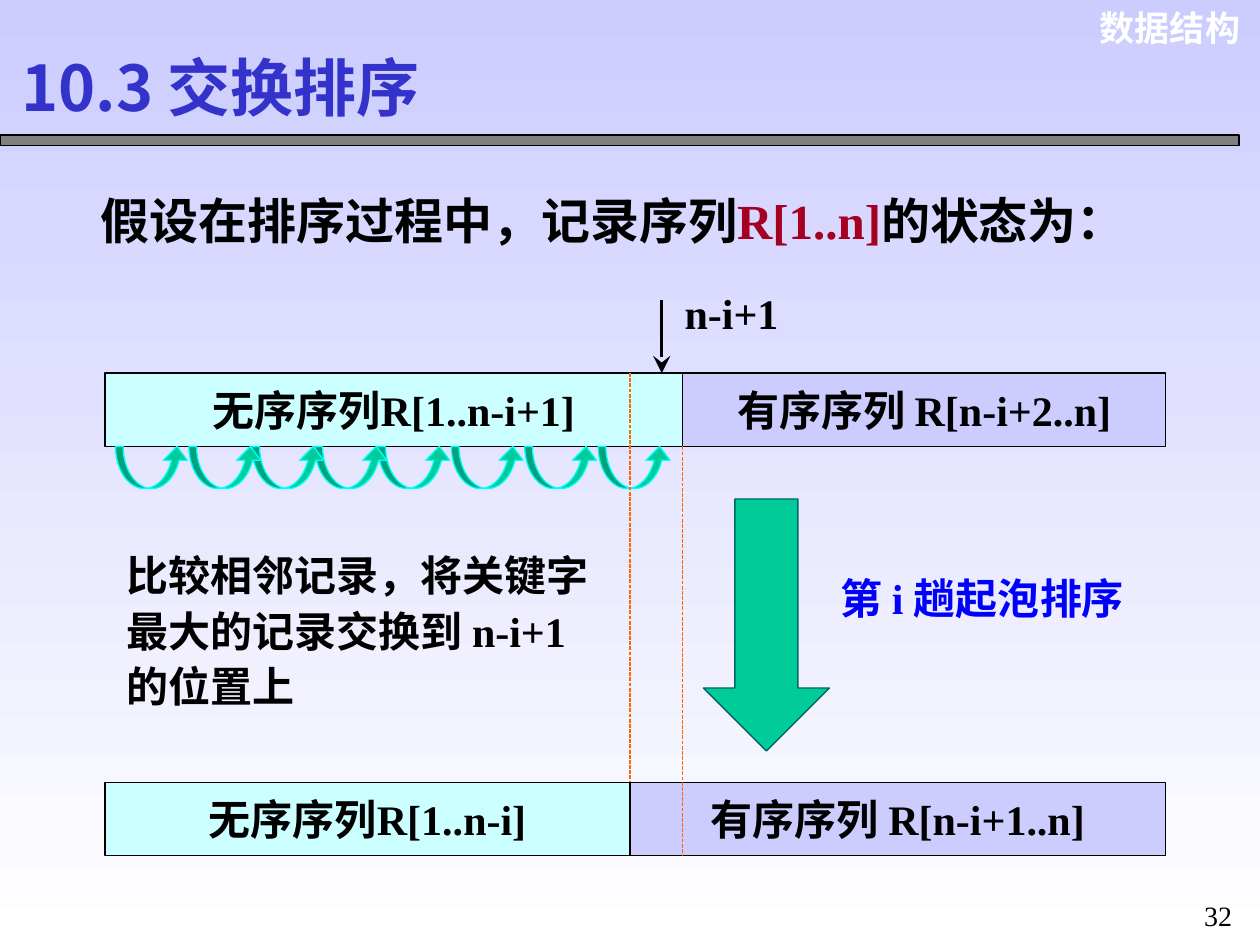
from itertools import accumulate

from lxml import etree
from pptx import Presentation
from pptx import util as u
from pptx.dml.color import RGBColor
from pptx.enum import dml, shapes, text
from pptx.oxml.ns import qn

BLACK = RGBColor(0x00, 0x00, 0x00)
WHITE = RGBColor(0xFF, 0xFF, 0xFF)
GRAY = RGBColor(0x80, 0x80, 0x80)
LAVENDER = RGBColor(0xCC, 0xCC, 0xFF)
PALE_CYAN = RGBColor(0xCC, 0xFF, 0xFF)
CYAN = RGBColor(0x00, 0xFF, 0xFF)
GREEN = RGBColor(0x00, 0xCC, 0x99)
DARK_GREEN = RGBColor(0x00, 0x66, 0x66)
ORANGE = RGBColor(0xFF, 0x66, 0x00)
INDIGO = RGBColor(0x33, 0x33, 0xCC)
BLUE = RGBColor(0x00, 0x00, 0xFF)
RED = RGBColor(0xA5, 0x00, 0x21)
SERIF, SANS, CJK = "Times New Roman", "Arial", "Noto Sans CJK SC"

# Content; all lengths are in centimetres
# Each text: left, top, width, height, runs, format
# A run is plain text, or text with its own colour and size
TEXTS = [
    (21.77, 0, 3.48, 1.12, ["数据结构"],
     dict(size=20, font=SANS, color=WHITE, align=text.PP_ALIGN.RIGHT)),
    (0.18, 0.89, 9.45, 1.7, ["10.3 交换排序"],
     dict(size=36, font=CJK, color=INDIGO, anchor=text.MSO_ANCHOR.MIDDLE)),
    (0.94, 3.48, 23.77, 1.68,
     [("　", BLACK, 24), "假设在排序过程中，记录序列", ("R[1..n]", RED, 28),
      "的状态为："],
     dict(size=28, spacing=1.2)),
    (13.55, 5.68, 3, 1.27, ["n-i+1"], {}),
    (2.3, 10.86, 9.98, 3.61,
     ["比较相邻记录，将关键字最大的记录交换到 n-i+1 的位置上"],
     dict(spacing=1.1)),
    (16.69, 11.26, 6.6, 2.59, ["第 i 趟起泡排序"],
     dict(color=BLUE, spacing=1.15)),
    (23.92, 17.78, 1.27, 1.14, ["32"],
     dict(size=16, bold=False, align=text.PP_ALIGN.CENTER, spacing=1.3)),
]
LEFT, RIGHT, ROW_HEIGHT = 2.12, 23.5, 1.48
BEFORE_TOP, AFTER_TOP = 7.52, 15.77
BEFORE_SPLIT, AFTER_SPLIT = 13.76, 12.7
# Each row: top, split position, unsorted label, sorted label
ROWS = [
    (BEFORE_TOP, BEFORE_SPLIT, "无序序列R[1..n-i+1]", "有序序列 R[n-i+2..n]"),
    (AFTER_TOP, AFTER_SPLIT, "无序序列R[1..n-i]", "有序序列 R[n-i+1..n]"),
]
SWAP_STEPS = [1.48, 1.27, 1.27, 1.27, 1.48, 1.48, 1.48]
SWAP_LEFT, SWAP_WIDTH, SWAP_HEIGHT = 2.33, 1.48, 0.85

presentation = Presentation()
presentation.slide_width, presentation.slide_height = u.Cm(25.4), u.Cm(19.05)
slide = presentation.slides.add_slide(presentation.slide_layouts[6])


def write(shape, runs, size=24, font=SERIF, color=BLACK, bold=True,
          align=text.PP_ALIGN.LEFT, anchor=text.MSO_ANCHOR.TOP,
          spacing=1.0, wrap=True):
    frame = shape.text_frame
    frame.word_wrap = wrap
    frame.vertical_anchor = anchor
    paragraph = frame.paragraphs[0]
    paragraph.alignment = align
    paragraph.line_spacing = spacing
    for item in runs:
        words, run_color, run_size = (
            item if isinstance(item, tuple) else (item, color, size))
        run = paragraph.add_run()
        run.text = words
        run.font.size = u.Pt(run_size)
        run.font.bold = bold
        run.font.name = font
        run.font.color.rgb = run_color
        east_asian = etree.Element(qn("a:ea"), typeface=CJK)
        run.font._element.find(qn("a:latin")).addnext(east_asian)


def add_block(kind, left, top, width, height, fill, line, adjustments=()):
    shape = slide.shapes.add_shape(
        kind, u.Cm(left), u.Cm(top), u.Cm(width), u.Cm(height))
    shape.shadow.inherit = False
    shape.fill.solid()
    shape.fill.fore_color.rgb = fill
    shape.line.color.rgb = line
    shape.line.width = u.Pt(0.75)
    for index, value in enumerate(adjustments):
        shape.adjustments[index] = value
    return shape


def add_vertical_line(x, top, bottom, color, width):
    connector = slide.shapes.add_connector(
        shapes.MSO_CONNECTOR.STRAIGHT, u.Cm(x), u.Cm(top), u.Cm(x), u.Cm(bottom))
    connector.line.color.rgb = color
    connector.line.width = u.Pt(width)
    etree.SubElement(connector._element.spPr, qn("a:effectLst"))
    return connector


# Background and header rule
background = slide.background.fill
background.gradient()
background.gradient_angle = 270
for stop, color in zip(background.gradient_stops, (LAVENDER, WHITE)):
    stop.color.rgb = color
RECTANGLE = shapes.MSO_SHAPE.RECTANGLE
add_block(RECTANGLE, 0, 2.72, 24.98, 0.22, GRAY, BLACK)

# Record sequence before and after the pass
for top, split, unsorted_label, sorted_label in ROWS:
    for start, end, fill, label in ((LEFT, split, PALE_CYAN, unsorted_label),
                                    (split, RIGHT, LAVENDER, sorted_label)):
        cell = add_block(RECTANGLE, start, top, end - start, ROW_HEIGHT, fill, BLACK)
        write(cell, [label], align=text.PP_ALIGN.CENTER,
              anchor=text.MSO_ANCHOR.MIDDLE, wrap=False)

# Pointer to position n-i+1
pointer = add_vertical_line(13.34, 6.05, BEFORE_TOP, BLACK, 1.5)
etree.SubElement(pointer.line._get_or_add_ln(), qn("a:tailEnd"),
                 type="stealth", w="lg", len="lg")

# Large arrow for the pass
add_block(shapes.MSO_SHAPE.DOWN_ARROW, 14.18, 10.06, 2.54, 5.08,
          GREEN, DARK_GREEN, (0.5, 0.5))

# Swap arrows, leftmost in front
swap_lefts = list(accumulate(SWAP_STEPS, initial=SWAP_LEFT))
for left in reversed(swap_lefts):
    add_block(shapes.MSO_SHAPE.CURVED_UP_ARROW, left, BEFORE_TOP + ROW_HEIGHT,
              SWAP_WIDTH, SWAP_HEIGHT, GREEN, CYAN, (0.18, 0.57, 0.33))

# Dashed guides at the split positions
for x, top, bottom in ((BEFORE_SPLIT, BEFORE_TOP + ROW_HEIGHT, AFTER_TOP + ROW_HEIGHT),
                       (AFTER_SPLIT, BEFORE_TOP, AFTER_TOP)):
    guide = add_vertical_line(x, top, bottom, ORANGE, 0.75)
    guide.line.dash_style = dml.MSO_LINE.SQUARE_DOT

# Free-standing texts
for left, top, width, height, runs, style in TEXTS:
    box = slide.shapes.add_textbox(u.Cm(left), u.Cm(top), u.Cm(width), u.Cm(height))
    write(box, runs, **style)

presentation.save("out.pptx")
